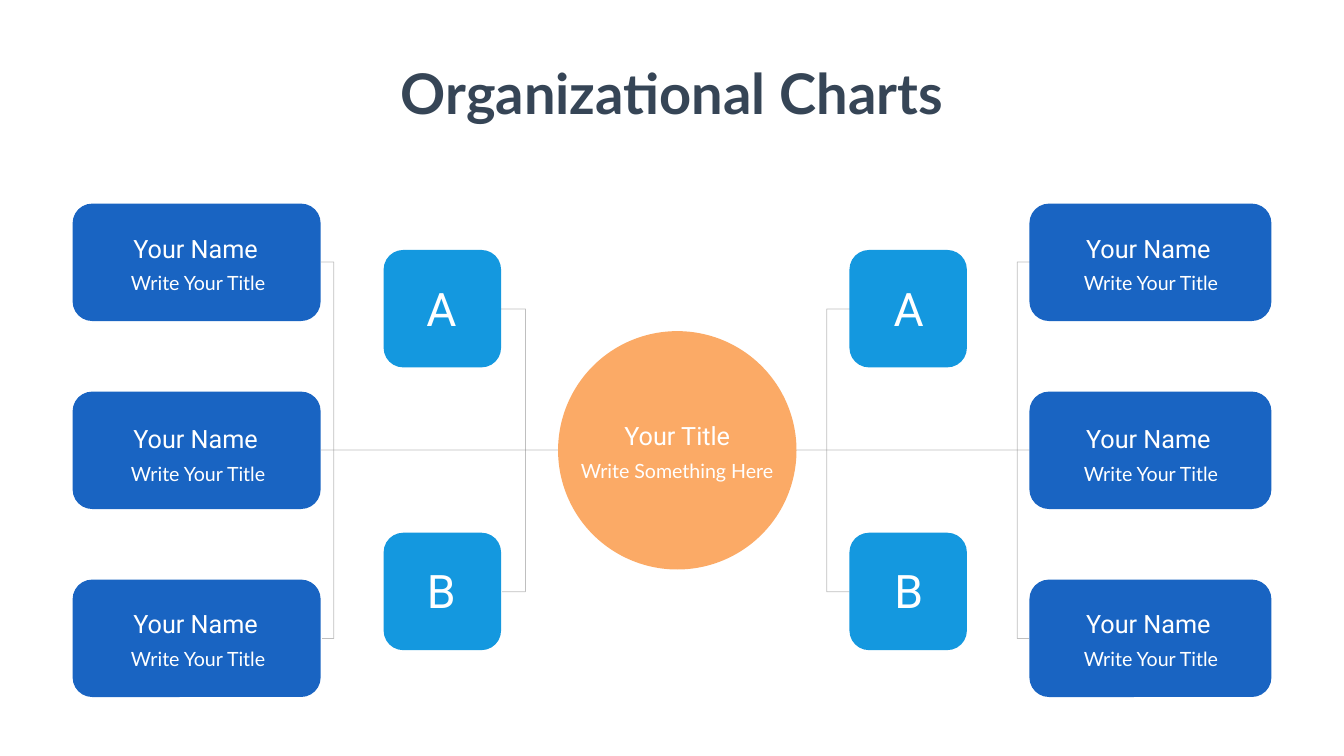
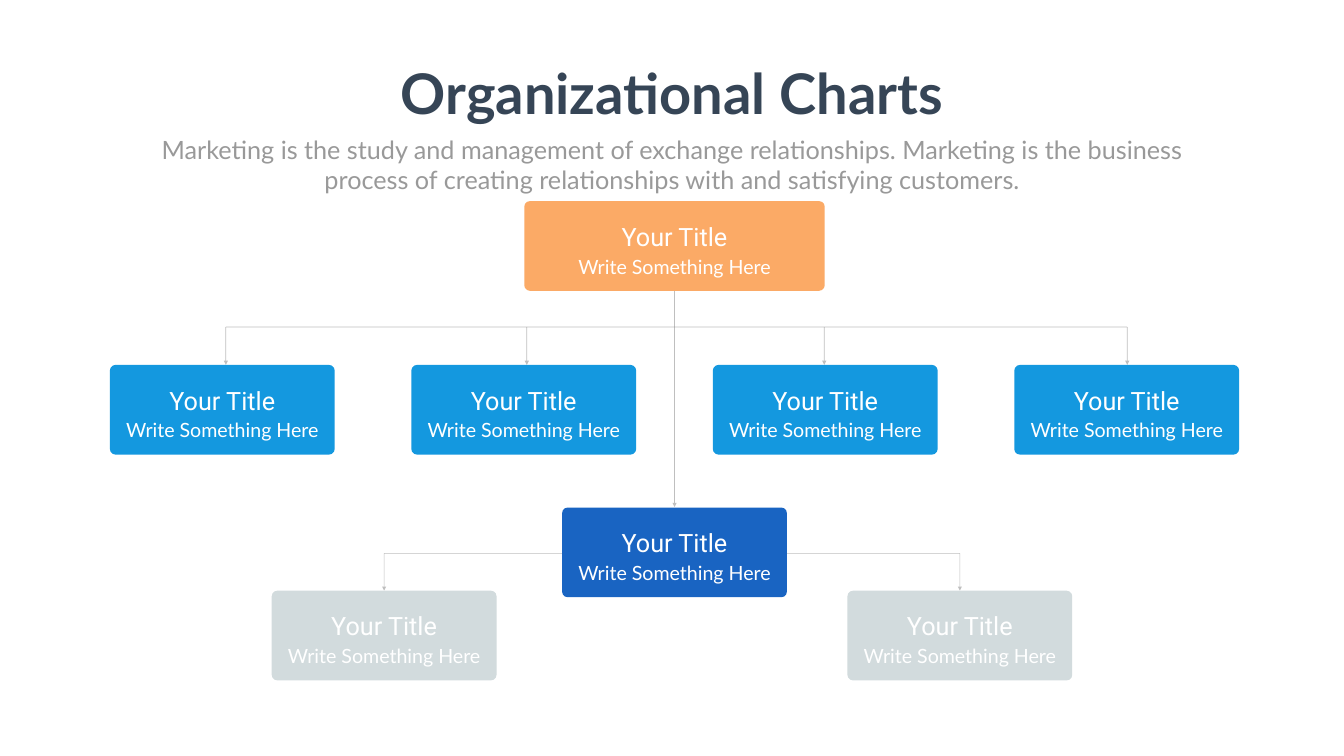
from pptx import Presentation
from pptx.dml.color import RGBColor
from pptx.enum.shapes import MSO_CONNECTOR, MSO_SHAPE
from pptx.enum.text import MSO_AUTO_SIZE, PP_ALIGN
from pptx.oxml.ns import qn
from pptx.util import Inches, Pt
from lxml import etree

ROUND, OVAL = MSO_SHAPE.ROUNDED_RECTANGLE, MSO_SHAPE.OVAL
LINE, ELBOW = MSO_CONNECTOR.STRAIGHT, MSO_CONNECTOR.ELBOW
CENTER, GROW = PP_ALIGN.CENTER, MSO_AUTO_SIZE.SHAPE_TO_FIT_TEXT

NAVY = RGBColor(0x36, 0x45, 0x56)
BLUE = RGBColor(0x19, 0x64, 0xC2)
SKY = RGBColor(0x14, 0x98, 0xDF)
PEACH = RGBColor(0xFB, 0xAA, 0x66)
MIST = RGBColor(0xD2, 0xDB, 0xDD)
GRAY = RGBColor(0x80, 0x80, 0x80)
ASH = RGBColor(0x99, 0x99, 0x99)
WHITE = RGBColor(0xFF, 0xFF, 0xFF)

WIDE, HIGH = 26.66, 15
MID = WIDE / 2
HEAD, SUB = ("Roboto", 36, WHITE), ("Lato", 28, WHITE)
MARK, TITLE, LEAD = ("Roboto", 66, WHITE), ("Lato", 80, NAVY), ("Lato", 36, ASH)


def write(slide, text, style, x, y, w, h):
    """Add a centred line of text in one of the shared styles."""
    box = slide.shapes.add_textbox(Inches(x), Inches(y), Inches(w), Inches(h))
    frame = box.text_frame
    frame.word_wrap = style != TITLE
    frame.auto_size = GROW
    para = frame.paragraphs[0]
    para.text = text
    para.alignment = CENTER
    if style == SUB:
        para.line_spacing = Pt(40.8)
    para.font.name, size, para.font.color.rgb = style
    para.font.size = Pt(size)
    para.font.bold = style == TITLE


def link(slide, x1, y1, x2, y2, kind=LINE, arrow=False, bend=None):
    """Add a half-transparent line; bend is the elbow's reach over its width."""
    wire = slide.shapes.add_connector(
        kind, Inches(x1), Inches(y1), Inches(x2), Inches(y2))
    wire.line.width = Pt(1)
    wire.line.color.rgb = GRAY
    props = wire._element.spPr
    tint = props.find(".//" + qn("a:srgbClr"))
    etree.SubElement(tint, qn("a:alpha"), val="50000")
    if arrow:
        etree.SubElement(props.find(qn("a:ln")), qn("a:tailEnd"), type="triangle")
    if bend:
        geom = props.find(qn("a:prstGeom"))
        guide = geom.find(qn("a:avLst"))
        if guide is None:
            guide = etree.SubElement(geom, qn("a:avLst"))
        etree.SubElement(guide, qn("a:gd"), name="adj1",
                         fmla=f"val {round(bend * 100000)}")
    etree.SubElement(props, qn("a:effectLst"))


deck = Presentation()
deck.slide_width, deck.slide_height = Inches(WIDE), Inches(HIGH)
sides = deck.slides.add_slide(deck.slide_layouts[6])
tree = deck.slides.add_slide(deck.slide_layouts[6])

# Lines of the two-sided chart: a spine and a bracket per column of boxes
link(sides, 6.37, 8.93, 20.42, 8.93)
THIN = 0.02
for x, reach, top, end in [(9.94, 0.48, 6.13, 11.74), (16.87, -0.47, 6.13, 11.74),
                           (6.37, 0.25, 5.2, 12.67), (20.43, -0.25, 5.2, 12.67)]:
    step = THIN if reach > 0 else -THIN
    link(sides, x, top, x + step, end, ELBOW, bend=reach / step)

# Lines of the tree
RAIL, FORK = 6.49, 10.98
link(tree, 4.48, RAIL, 22.36, RAIL)
link(tree, 7.62, FORK, 19.04, FORK)
link(tree, 13.38, 5.77, 13.38, 10.06, arrow=True)
for x in (4.48, 10.45, 16.35, 22.36):
    link(tree, x, RAIL, x, 7.24, arrow=True)
for x in (7.62, 19.04):
    link(tree, x, FORK, x, 11.72, arrow=True)

# Boxes on both slides: slide, form, fill, left, top, width, height
SIDE = 2.33
ROWS = [4.04 + 3.73 * row for row in range(3)]
boxes = [(sides, OVAL, PEACH, 11.07, 6.57, 4.73, 4.73)]
for x, w in ((1.44, 4.92), (20.42, 4.8)):
    boxes += [(sides, ROUND, BLUE, x, y, w, SIDE) for y in ROWS]
for x in (7.61, 16.85):
    boxes += [(sides, ROUND, SKY, x, y, SIDE, SIDE) for y in (4.96, 10.57)]

CARD, TALL = 4.46, 1.78
nodes = [(tree, ROUND, PEACH, 10.4, 3.99, 5.96, TALL),
         (tree, ROUND, BLUE, 11.15, 10.07, CARD, TALL)]
nodes += [(tree, ROUND, SKY, 2.18 + 5.98 * col, 7.24, CARD, TALL) for col in range(4)]
nodes += [(tree, ROUND, MIST, x, 11.72, CARD, TALL) for x in (5.39, 16.81)]

for slide, form, fill, x, y, w, h in boxes + nodes:
    box = slide.shapes.add_shape(form, Inches(x), Inches(y), Inches(w), Inches(h))
    box.shadow.inherit = False
    box.fill.solid()
    box.fill.fore_color.rgb = fill
    box.line.fill.background()
    if slide is tree:
        box.adjustments[0] = 0.063

# Words of the two-sided chart
for x in (2.3, 21.2):
    for y in (4.57, 8.35, 12.03):
        write(sides, "Your Name", HEAD, x, y, 3.16, 0.71)
        write(sides, "Write Your Title", SUB, x + 0.05, y + 0.66, 3.16, 0.62)
for x in (8.21, 17.48):
    for text, y in (("A", 5.51), ("B", 11.11)):
        write(sides, text, MARK, x, y, 1.09, 1.21)
write(sides, "Your Title", HEAD, 11.37, 8.3, 4.13, 0.66)
write(sides, "Write Something Here", SUB, 10.96, 8.96, 4.94, 0.62)

# Words of the tree
for _, _, _, x, y, w, h in nodes:
    write(tree, "Your Title", HEAD, x, y + 0.35, w, 0.56)
    write(tree, "Write Something Here", SUB, x, y + 0.91, w, 0.53)

# Titles
for slide in (sides, tree):
    write(slide, "Organizational Charts", TITLE, MID - 5.63, 1.12, 11.26, 1.45)
write(tree, "Marketing is the study and management of exchange relationships. "
      "Marketing is the business process of creating relationships with and "
      "satisfying customers.", LEAD, MID - 10.41, 2.61, 20.82, 1.31)

deck.save("out.pptx")
